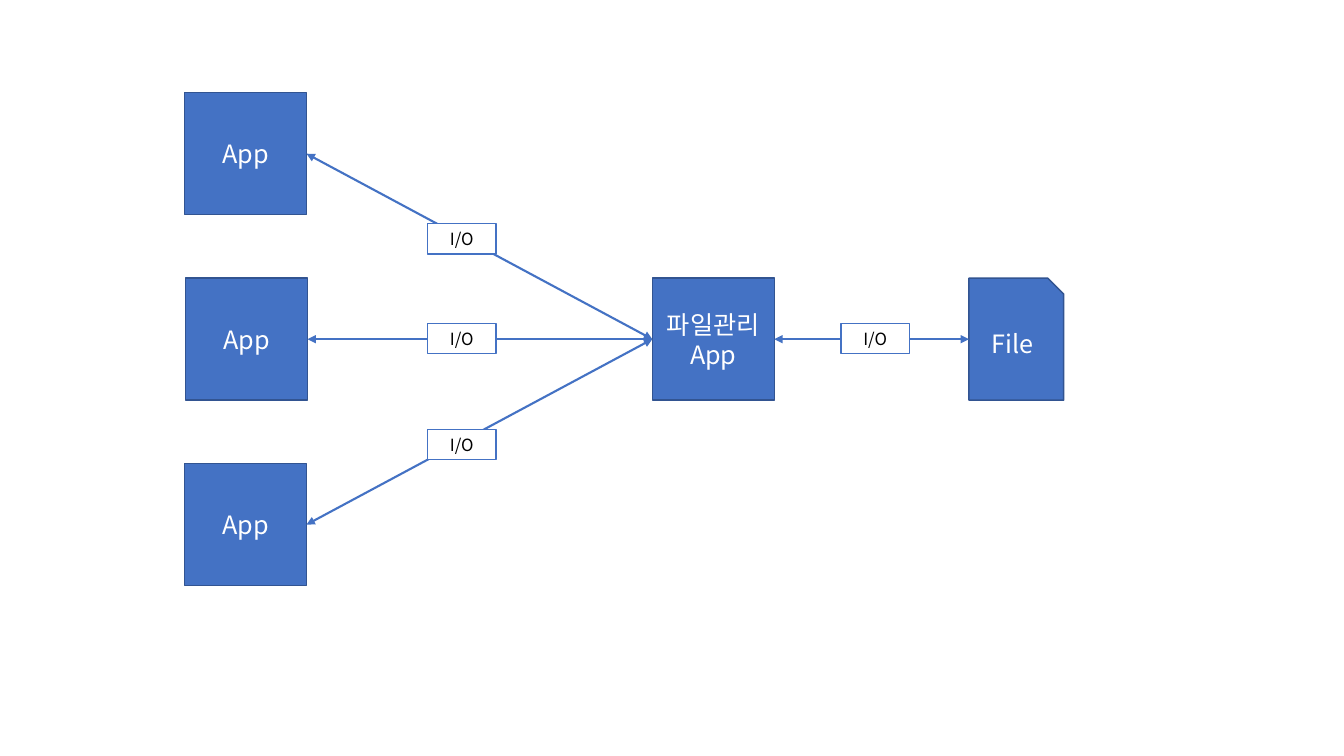
"""Builds a slide where three apps reach one file through a file-manager app."""
from lxml import etree
from pptx import Presentation
from pptx.dml.color import RGBColor
from pptx.enum.shapes import MSO_CONNECTOR, MSO_SHAPE
from pptx.enum.text import MSO_ANCHOR, MSO_AUTO_SIZE, PP_ALIGN
from pptx.oxml.ns import qn
from pptx.util import Inches, Pt

BLUE = RGBColor(0x44, 0x72, 0xC4)
DARK_BLUE = RGBColor(0x32, 0x54, 0x91)
WHITE = RGBColor(0xFF, 0xFF, 0xFF)
BLACK = RGBColor(0x00, 0x00, 0x00)
FONT = "Noto Sans CJK KR"
BOX = 1.21
MIDDLE_TOP = 2.76
LEFT_SITE, RIGHT_SITE = 1, 3

prs = Presentation()
prs.slide_width, prs.slide_height = Inches(13.33), Inches(7.5)
slide = prs.slides.add_slide(prs.slide_layouts[6])


def add_box(text, left, top, width, height, fill=BLUE, line=DARK_BLUE,
            color=WHITE, size=18, kind=MSO_SHAPE.RECTANGLE):
    box = slide.shapes.add_shape(
        kind, Inches(left), Inches(top), Inches(width), Inches(height))
    box.shadow.inherit = False
    box.fill.solid()
    box.fill.fore_color.rgb = fill
    box.line.color.rgb = line
    box.line.width = Pt(1)
    frame = box.text_frame
    frame.word_wrap = True
    frame.vertical_anchor = MSO_ANCHOR.MIDDLE
    frame.text = text
    for paragraph in frame.paragraphs:
        paragraph.alignment = PP_ALIGN.CENTER
        for run in paragraph.runs:
            run.font.name = FONT
            run.font.size = Pt(size)
            run.font.color.rgb = color
            etree.SubElement(run.font._element, qn("a:ea"), typeface=FONT)
    return box


def link(source, target):
    arrow = slide.shapes.add_connector(MSO_CONNECTOR.STRAIGHT, 0, 0, 0, 0)
    arrow.begin_connect(source, RIGHT_SITE)
    arrow.end_connect(target, LEFT_SITE)
    arrow.line.color.rgb = BLUE
    arrow.line.width = Pt(1.5)
    outline = arrow.line._get_or_add_ln()
    for end in ("a:headEnd", "a:tailEnd"):
        etree.SubElement(outline, qn(end), type="triangle")
    etree.SubElement(arrow._element.spPr, qn("a:effectLst"))


apps = [add_box("App", left, MIDDLE_TOP + row * 1.84, BOX, BOX)
        for row, left in ((-1, 1.83), (0, 1.84), (1, 1.83))]
file_manager = add_box("파일관리\nApp", 6.47, MIDDLE_TOP, BOX, BOX)
file_box = add_box("File", 9.61, MIDDLE_TOP, 0.94, BOX,
                   kind=MSO_SHAPE.SNIP_1_RECTANGLE)

for app in apps:
    link(app, file_manager)
link(file_manager, file_box)

for left, top in ((4.24, 2.22), (4.24, 3.21), (4.24, 4.26), (8.34, 3.21)):
    label = add_box("I/O", left, top, 0.68, 0.3, WHITE, BLUE, BLACK, 12)
    label.text_frame.vertical_anchor = MSO_ANCHOR.TOP
    label.text_frame.auto_size = MSO_AUTO_SIZE.SHAPE_TO_FIT_TEXT

prs.save("out.pptx")
